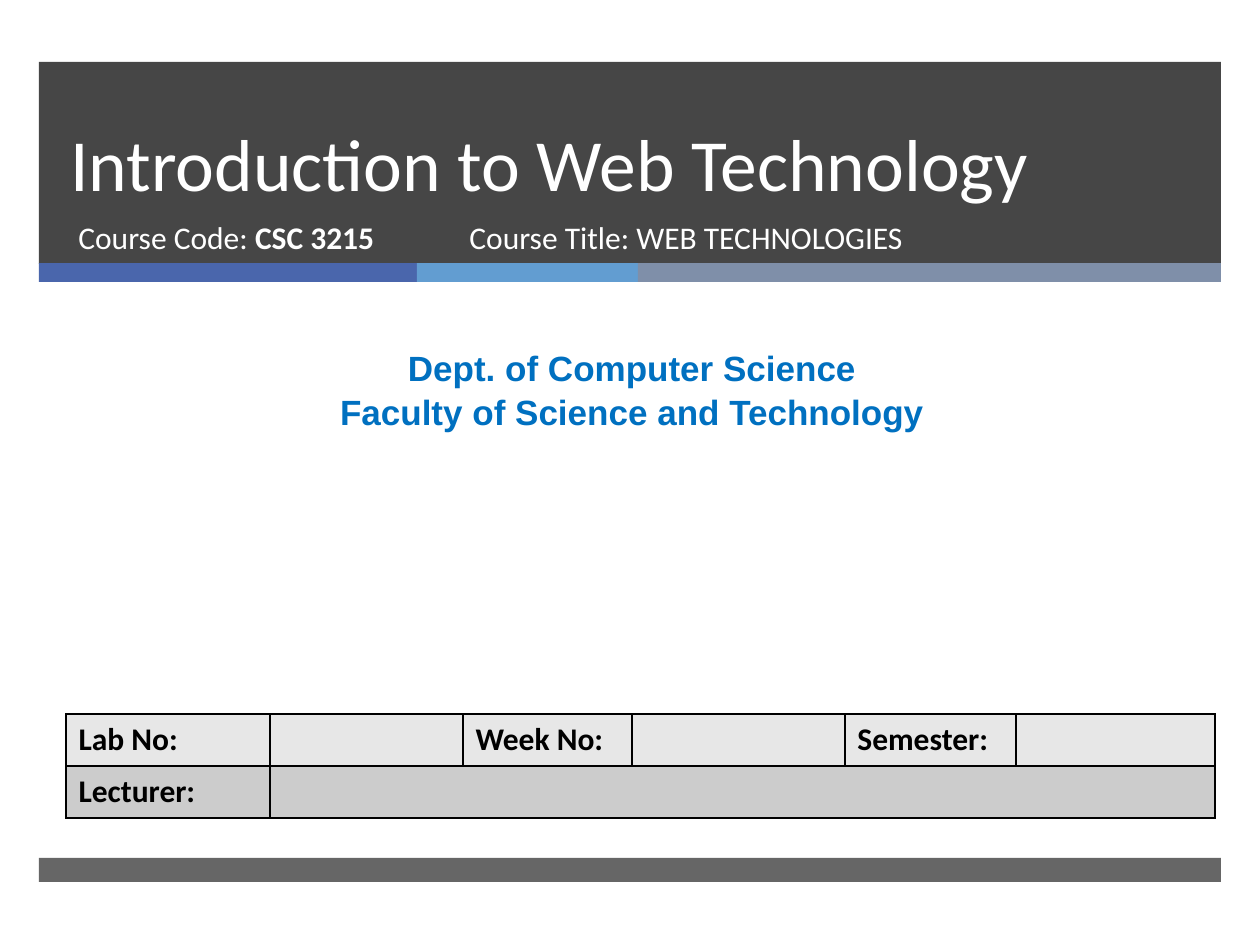
from dataclasses import dataclass
from lxml.etree import SubElement
from pptx import Presentation
from pptx.dml.color import RGBColor
from pptx.enum.shapes import MSO_SHAPE
from pptx.enum.text import MSO_ANCHOR, PP_ALIGN
from pptx.oxml.ns import qn
from pptx.util import Emu, Pt


@dataclass(frozen=True)
class Theme:
    dark: str = "262626"
    white: str = "FFFFFF"
    black: str = "000000"
    blue: str = "0070C0"
    accents: tuple = ("4A66AC", "629DD1", "7F8FA9")
    rows: tuple = ("E7E7E7", "CCCCCC")
    sans: str = "Calibri"
    dept: str = "Arial"
    title_pt: int = 42
    title_line_pt: int = 46
    dept_pt: int = 20
    body_pt: int = 18
    border_pt: int = 1


T = Theme()

# Content
TITLE = "Introduction to Web Technology"
COURSE_CODE = [("Course Code: ", False), ("CSC 3215", True)]
COURSE_TITLE = "Course Title: WEB TECHNOLOGIES"
DEPARTMENT = ["Dept. of Computer Science", "Faculty of Science and Technology"]
LAB_INFO = [["Lab No:", "", "Week No:", "", "Semester:", ""],
            ["Lecturer:", "", "", "", "", ""]]

# Layout in px, 126 to the inch
LEFT, WIDTH = 39, 1182
STRIPE_TOP, STRIPE_H = 263, 19
STRIPE_WIDTHS = [378, 221, 583]
TABLE_LEFT, TABLE_TOP, ROW_H = 66, 714, 52
COL_WIDTHS = [204, 193, 169, 213, 171, 199]


def px(n):
    return Emu(round(n * 914400 / 126))


def rgb(code):
    return RGBColor.from_string(code)


def add_bar(x, y, w, h, color, alpha=None):
    bar = s.shapes.add_shape(MSO_SHAPE.RECTANGLE, px(x), px(y), px(w), px(h))
    bar.shadow.inherit = False
    bar.line.fill.background()
    bar.fill.solid()
    bar.fill.fore_color.rgb = rgb(color)
    if alpha:
        clr = bar.fill._xPr.find(".//" + qn("a:srgbClr"))
        SubElement(clr, qn("a:alpha"), val=str(alpha * 1000))


def set_font(p, size, color, bold=None, name=T.sans):
    p.font.size, p.font.name, p.font.bold = Pt(size), name, bold
    p.font.color.rgb = rgb(color)


def add_text(x, y, w, h, lines, size, color, **font):
    """Add a text box; each line is a list of (text, bold) runs."""
    tf = s.shapes.add_textbox(px(x), px(y), px(w), px(h)).text_frame
    tf.word_wrap = True
    for i, runs in enumerate(lines):
        p = tf.add_paragraph() if i else tf.paragraphs[0]
        set_font(p, size, color, **font)
        for text, bold in runs:
            r = p.add_run()
            r.text = text
            if bold:
                r.font.bold = True
    return tf


def add_borders(cell):
    tcPr = cell._tc.get_or_add_tcPr()
    for i, side in enumerate(("a:lnL", "a:lnR", "a:lnT", "a:lnB")):
        ln = tcPr.makeelement(qn(side), {"w": str(Pt(T.border_pt))})
        fill = SubElement(ln, qn("a:solidFill"))
        SubElement(fill, qn("a:srgbClr"), val=T.black)
        tcPr.insert(i, ln)


prs = Presentation()
prs.slide_width, prs.slide_height = px(1260), px(945)
s = prs.slides.add_slide(prs.slide_layouts[6])

# Header band, accent stripes, footer band
add_bar(LEFT, 62, WIDTH, 202, T.dark, alpha=85)
x = LEFT
for w, color in zip(STRIPE_WIDTHS, T.accents):
    add_bar(x, STRIPE_TOP, w, STRIPE_H, color)
    x += w
add_bar(LEFT, 858, WIDTH, 24, T.dark, alpha=70)

# Title and course details
title = add_text(58, 62, 1076, 150, [[(TITLE, False)]], T.title_pt, T.white)
title.vertical_anchor = MSO_ANCHOR.BOTTOM
title.paragraphs[0].line_spacing = Pt(T.title_line_pt)
add_text(66, 212, 384, 67, [COURSE_CODE], T.body_pt, T.white)
add_text(457, 212, 573, 67, [[(COURSE_TITLE, False)]], T.body_pt, T.white)

# Department
dept = add_text(10, 338, 1244, 97, [[(line, False)] for line in DEPARTMENT],
                T.dept_pt, T.blue, bold=True, name=T.dept)
for p in dept.paragraphs:
    p.alignment = PP_ALIGN.CENTER
    p.line_spacing = 1.05

# Lab information table
table = s.shapes.add_table(len(LAB_INFO), len(COL_WIDTHS), px(TABLE_LEFT), px(TABLE_TOP),
                           px(sum(COL_WIDTHS)), px(ROW_H * len(LAB_INFO))).table
for col, w in zip(table.columns, COL_WIDTHS):
    col.width = px(w)
for i, (row, color) in enumerate(zip(LAB_INFO, T.rows)):
    table.rows[i].height = px(ROW_H)
    for j, text in enumerate(row):
        cell = table.cell(i, j)
        cell.text = text
        set_font(cell.text_frame.paragraphs[0], T.body_pt, T.black, bold=True)
        cell.fill.solid()
        cell.fill.fore_color.rgb = rgb(color)
        add_borders(cell)
table.cell(1, 1).merge(table.cell(1, 5))

prs.save("out.pptx")
